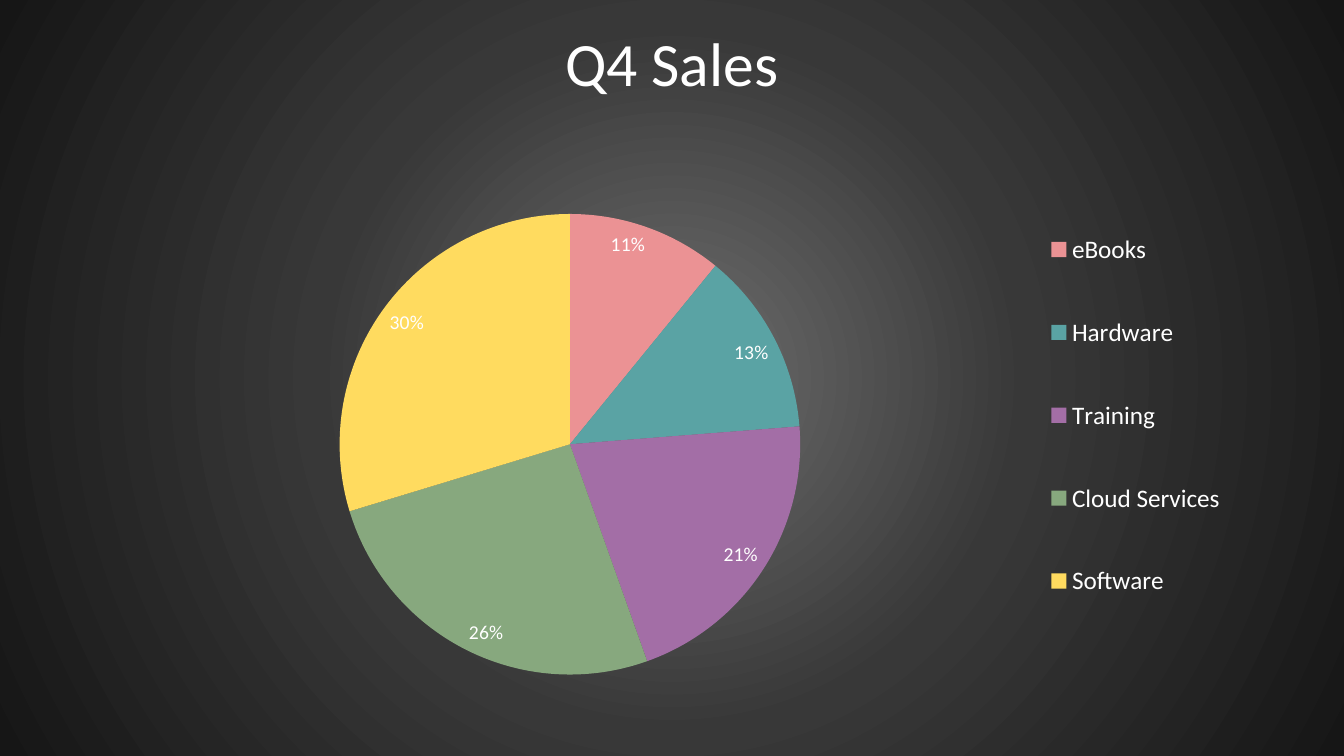
import pptx
import pptx.chart.data
import pptx.dml.color
import pptx.enum.chart
import pptx.enum.text
import pptx.oxml
import pptx.oxml.ns
import pptx.util

Pt = pptx.util.Pt
WHITE = "FFFFFF"
BACKDROP = {0: "707070", 46: "383838", 100: "161616"}
SALES = {
    "eBooks": (11, "EB9294"),
    "Hardware": (13, "5AA3A4"),
    "Training": (21, "A36EA6"),
    "Cloud Services": (26, "87A87E"),
    "Software": (30, "FFDB5F"),
}
TITLE_BOX = (66, 10.8, 828, 74.2)
CHART_BOX = (66, 71.3, 828, 450.7)
PLOT_AREA = {"x": 0.065, "y": 0.181, "w": 0.694, "h": 0.73}
LEGEND_AREA = {"x": 0.81, "y": 0.13, "w": 0.18, "h": 0.74}


def color(value):
    return pptx.dml.color.RGBColor.from_string(value)


def style_font(font, size):
    for name, value in {"name": "Calibri", "size": Pt(size), "bold": False}.items():
        setattr(font, name, value)
    font.color.rgb = color(WHITE)


def paint_background(page):
    page.background.fill.gradient()
    gradient = next(page.element.iter(pptx.oxml.ns.qn("a:gradFill")))
    stops = "".join(
        f'<a:gs pos="{place * 1000}"><a:srgbClr val="{value}"/></a:gs>'
        for place, value in BACKDROP.items()
    )
    radial = pptx.oxml.parse_xml(
        f'<a:gradFill {pptx.oxml.ns.nsdecls("a")} rotWithShape="1"><a:gsLst>{stops}</a:gsLst>'
        '<a:path path="circle"><a:fillToRect l="50000" t="50000" r="50000" b="50000"/>'
        "</a:path></a:gradFill>"
    )
    gradient.getparent().replace(gradient, radial)


def add_title(page, bounds, text):
    box = page.shapes.add_textbox(*map(Pt, bounds))
    box.text_frame.word_wrap = True
    box.text_frame.vertical_anchor = pptx.enum.text.MSO_ANCHOR.MIDDLE
    para = box.text_frame.paragraphs[0]
    para.alignment = pptx.enum.text.PP_ALIGN.CENTER
    para.line_spacing = 0.9
    span = para.add_run()
    span.text = text
    style_font(span.font, 44)


def set_layout(parent, area, before, target=""):
    for old in parent.findall(pptx.oxml.ns.qn("c:layout")):
        parent.remove(old)
    modes = "".join(f'<c:{side}Mode val="edge"/>' for side in "xy")
    sizes = "".join(f'<c:{side} val="{value}"/>' for side, value in area.items())
    layout = pptx.oxml.parse_xml(
        f'<c:layout {pptx.oxml.ns.nsdecls("c")}><c:manualLayout>'
        f"{target}{modes}{sizes}</c:manualLayout></c:layout>"
    )
    parent.find(pptx.oxml.ns.qn(before)).addprevious(layout)


def add_sales_chart(page, bounds):
    data = pptx.chart.data.CategoryChartData()
    data.categories = list(SALES)
    data.add_series("Series 1", [value for value, _ in SALES.values()])
    kind = pptx.enum.chart.XL_CHART_TYPE.PIE
    chart = page.shapes.add_chart(kind, *map(Pt, bounds), data).chart
    style_font(chart.font, 10)
    chart.has_title = False
    chart.has_legend = True
    legend = chart.legend
    legend.position = pptx.enum.chart.XL_LEGEND_POSITION.RIGHT
    legend.include_in_layout = False
    style_font(legend.font, 18)

    plot = chart.plots[0]
    plot.vary_by_categories = True
    for index, (_, fill) in enumerate(SALES.values()):
        slice_format = plot.series[0].points[index].format
        slice_format.fill.solid()
        slice_format.fill.fore_color.rgb = color(fill)
        slice_format.line.fill.background()
    labels = plot.series[0].data_labels
    label_format = {
        "show_percentage": True,
        "show_value": False,
        "number_format": "0%",
        "number_format_is_linked": False,
        "position": pptx.enum.chart.XL_LABEL_POSITION.INSIDE_END,
    }
    for name, value in label_format.items():
        setattr(labels, name, value)
    style_font(labels.font, 14)

    plot_area = next(chart.element.iter(pptx.oxml.ns.qn("c:plotArea")))
    legend_element = next(chart.element.iter(pptx.oxml.ns.qn("c:legend")))
    set_layout(plot_area, PLOT_AREA, "c:pieChart", '<c:layoutTarget val="inner"/>')
    set_layout(legend_element, LEGEND_AREA, "c:overlay")


def main():
    deck = pptx.Presentation()
    deck.slide_width, deck.slide_height = Pt(960), Pt(540)
    page = deck.slides.add_slide(deck.slide_layouts[6])
    paint_background(page)
    add_title(page, TITLE_BOX, "Q4 Sales")
    add_sales_chart(page, CHART_BOX)
    deck.save("out.pptx")


if __name__ == "__main__":
    main()
